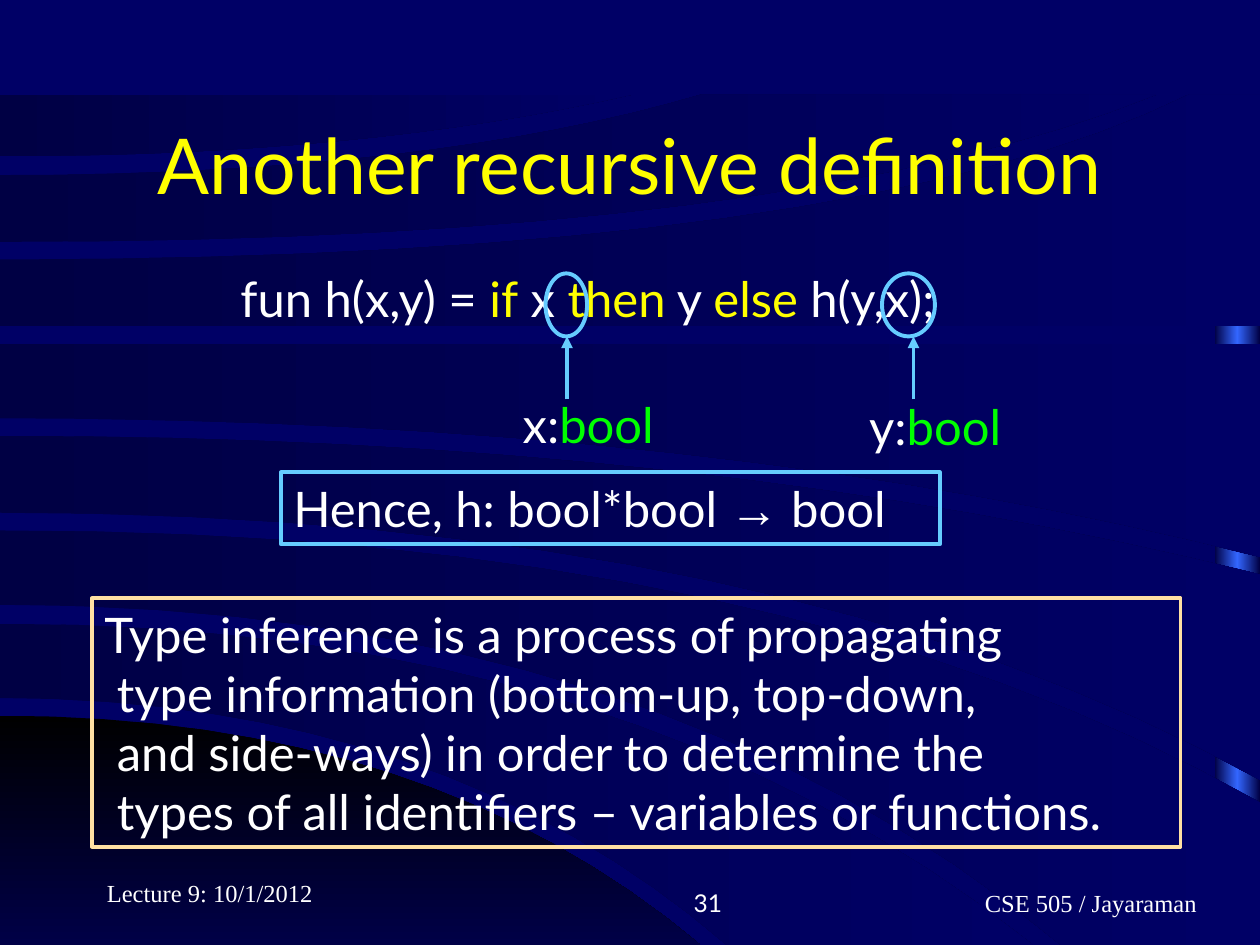
from dataclasses import dataclass

import lxml.etree
import pptx
import pptx.dml.color
import pptx.enum.shapes
import pptx.enum.text
import pptx.oxml.ns
import pptx.util

Inches = pptx.util.Inches
Align = pptx.enum.text.PP_ALIGN
Anchor = pptx.enum.text.MSO_ANCHOR
Preset = pptx.enum.shapes.MSO_SHAPE
qn = pptx.oxml.ns.qn

WHITE, YELLOW, GREEN = "FFFFFF", "FFFF00", "00FF00"
SKY, SAND, NAVY, DEEP = "66CCFF", "FFE0A3", "000066", "000044"
SERIF = "Times New Roman"
CURVE_STEPS = 16


@dataclass
class Span:
    text: str
    color: str = WHITE
    font: str = "Lato"


@dataclass
class Block:
    at: tuple
    lines: list
    size: int = 28
    align: Align = Align.LEFT
    anchor: Anchor = Anchor.TOP
    outline: str = ""
    hanging: float = 0
    right_inset: float = 0.1


@dataclass
class Edge:
    start_y: float
    bend_x: float
    end_x: float
    end_y: float

    def points(self) -> list:
        steps = [step / CURVE_STEPS for step in range(CURVE_STEPS + 1)]
        return [(2 * t * (1 - t) * self.bend_x + t * t * self.end_x,
                 self.start_y + t * t * (self.end_y - self.start_y)) for t in steps]


@dataclass
class Swoosh:
    upper: Edge
    lower: Edge
    corner: tuple = ()
    colors: tuple = (DEEP, NAVY)
    angle: int = 0


@dataclass
class Callout:
    oval: tuple
    arrow_x: float
    label: Block


SWOOSHES = [
    Swoosh(Edge(5.68, 3.4, 5.56, 7.5), Edge(7.5, 3, 5.56, 7.5),
           colors=("000000", "000047"), angle=90),
    Swoosh(Edge(4.95, 5, 8.2, 7.5), Edge(5.54, 3.5, 5.77, 7.5)),
    Swoosh(Edge(4.21, 6.2, 10, 6.37), Edge(4.8, 5.2, 8.42, 7.5), corner=(10, 7.5)),
    Swoosh(Edge(3.46, 5.6, 10, 4.56), Edge(4.07, 6.2, 10, 6.19)),
    Swoosh(Edge(2.73, 5, 10, 2.73), Edge(3.32, 5.7, 10, 4.42)),
    Swoosh(Edge(2.06, 6.8, 9.44, 0.75), Edge(2.59, 5, 10, 2.59), corner=(10, 0.75)),
    Swoosh(Edge(1.39, 3.4, 5.57, 0.75), Edge(1.92, 6.3, 9.18, 0.75)),
    Swoosh(Edge(0.75, 2.5, 5.02, 0.75), Edge(1.24, 2.9, 5.02, 0.75)),
]

CALLOUTS = [
    Callout((4.33, 2.17, 0.33, 0.5), 4.5,
            Block((4.05, 3.08, 1.32, 0.57), [[Span("x:"), Span("bool", GREEN)]])),
    Callout((7, 2.17, 0.42, 0.5), 7.25,
            Block((6.8, 3.1, 1.31, 0.57), [[Span("y:"), Span("bool", GREEN)]])),
]

BLOCKS = [
    Block((0.75, 0.67, 8.5, 1.25), [[Span("Another recursive definition", YELLOW)]],
          44, Align.CENTER, Anchor.MIDDLE),
    Block((1.81, 2.08, 6.11, 0.57),
          [[Span("fun h(x,y) = "), Span("if", YELLOW), Span(" x "), Span("then", YELLOW),
            Span(" y "), Span("else", YELLOW), Span(" h(y,x);")]]),
    Block((2.23, 3.75, 5.23, 0.57),
          [[Span("Hence, h: bool*bool "), Span("→", font="Arial"), Span(" bool")]], outline=SKY),
    Block((0.73, 4.75, 8.64, 1.97),
          [[Span("Type inference is a process of propagating")],
           [Span("type information (bottom-up, top-down,")],
           [Span("and side-ways) in order to determine the")],
           [Span("types of all identifiers – variables or functions.")]],
          outline=SAND, hanging=0.1),
    Block((0.75, 6.75, 2.08, 0.5), [[Span("Lecture 9: 10/1/2012", font=SERIF)]],
          14, anchor=Anchor.BOTTOM),
    Block((3.75, 6.83, 2.08, 0.5), [[Span("31")]], 14, Align.RIGHT, Anchor.BOTTOM),
    Block((6.58, 6.83, 3.17, 0.5), [[Span("CSE 505 / Jayaraman", font=SERIF)]],
          14, Align.RIGHT, Anchor.BOTTOM, right_inset=0.25),
]


def rgb(value: str) -> pptx.dml.color.RGBColor:
    return pptx.dml.color.RGBColor.from_string(value)


def set_line(line, color: str) -> None:
    line.color.rgb = rgb(color)
    line.width = pptx.util.Pt(2.25)


def fill_gradient(shape, colors: tuple, angle: int) -> None:
    shape.shadow.inherit = False
    shape.line.fill.background()
    shape.fill.gradient()
    gradient = shape._element.spPr.find(qn("a:gradFill"))
    stops = gradient.find(qn("a:gsLst"))
    for stop in list(stops):
        stops.remove(stop)
    for index, color in enumerate(colors):
        position = str(100000 * index // (len(colors) - 1))
        stop = lxml.etree.SubElement(stops, qn("a:gs"), pos=position)
        lxml.etree.SubElement(stop, qn("a:srgbClr"), val=color)
    gradient.find(qn("a:lin")).set("ang", str(angle * 60000))


def draw_swoosh(page, swoosh: Swoosh) -> None:
    corners = [swoosh.corner] if swoosh.corner else []
    outline = swoosh.upper.points() + corners + swoosh.lower.points()[::-1]
    points = [(Inches(x), Inches(y)) for x, y in outline]
    builder = page.shapes.build_freeform(*points[0])
    builder.add_line_segments(points[1:], close=True)
    fill_gradient(builder.convert_to_shape(), swoosh.colors, swoosh.angle)


def draw_block(page, block: Block) -> None:
    box = page.shapes.add_textbox(*map(Inches, block.at))
    if block.outline:
        set_line(box.line, block.outline)
    frame = box.text_frame
    settings = {"word_wrap": True, "vertical_anchor": block.anchor,
                "margin_right": Inches(block.right_inset)}
    for name, value in settings.items():
        setattr(frame, name, value)
    for index, line in enumerate(block.lines):
        para = frame.add_paragraph() if index else frame.paragraphs[0]
        para.alignment = block.align
        if index and block.hanging:
            para._p.get_or_add_pPr().set("marL", str(Inches(block.hanging)))
        for span in line:
            run = para.add_run()
            run.text = span.text
            for name, value in {"name": span.font, "size": pptx.util.Pt(block.size)}.items():
                setattr(run.font, name, value)
            run.font.color.rgb = rgb(span.color)


def draw_callout(page, callout: Callout) -> None:
    oval = page.shapes.add_shape(Preset.OVAL, *map(Inches, callout.oval))
    oval.shadow.inherit = False
    oval.fill.background()
    set_line(oval.line, SKY)
    x = Inches(callout.arrow_x)
    arrow = page.shapes.add_connector(
        pptx.enum.shapes.MSO_CONNECTOR.STRAIGHT, x, Inches(3.17), x, Inches(2.67))
    set_line(arrow.line, SKY)
    properties = arrow._element.spPr
    lxml.etree.SubElement(properties.find(qn("a:ln")), qn("a:tailEnd"), type="triangle")
    lxml.etree.SubElement(properties, qn("a:effectLst"))
    draw_block(page, callout.label)


def main() -> None:
    """Build the type inference slide and save it."""
    deck = pptx.Presentation()
    deck.slide_width, deck.slide_height = Inches(10), Inches(7.5)
    page = deck.slides.add_slide(deck.slide_layouts[6])
    page.background.fill.solid()
    page.background.fill.fore_color.rgb = rgb(NAVY)
    band = page.shapes.add_shape(
        Preset.RECTANGLE, *map(Inches, (9.64, 0.77, 0.36, 6.73)))
    fill_gradient(band, (DEEP, "3366FF", DEEP), 0)
    for swoosh in SWOOSHES:
        draw_swoosh(page, swoosh)
    for block in BLOCKS:
        draw_block(page, block)
    for callout in CALLOUTS:
        draw_callout(page, callout)
    deck.save("out.pptx")


if __name__ == "__main__":
    main()
